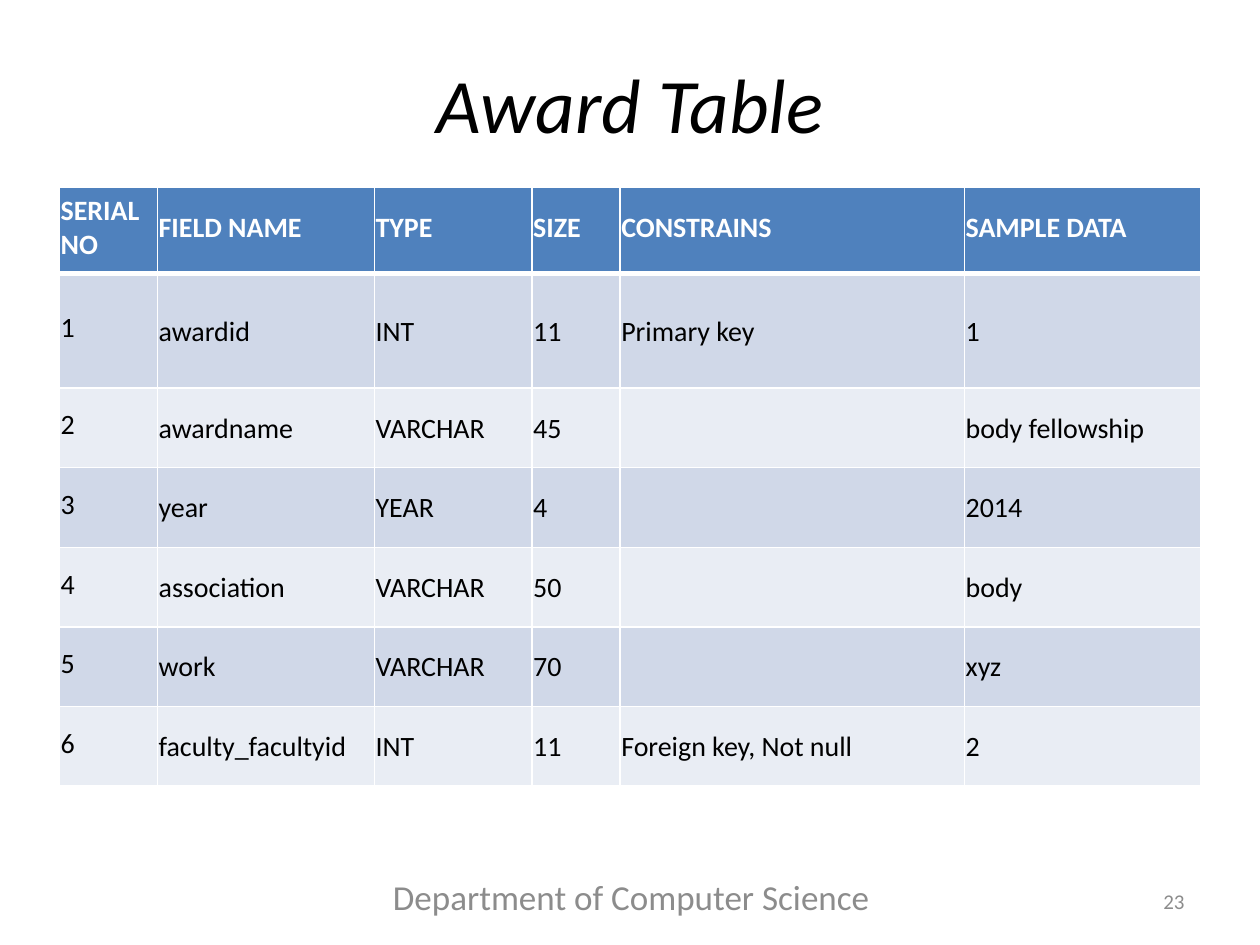
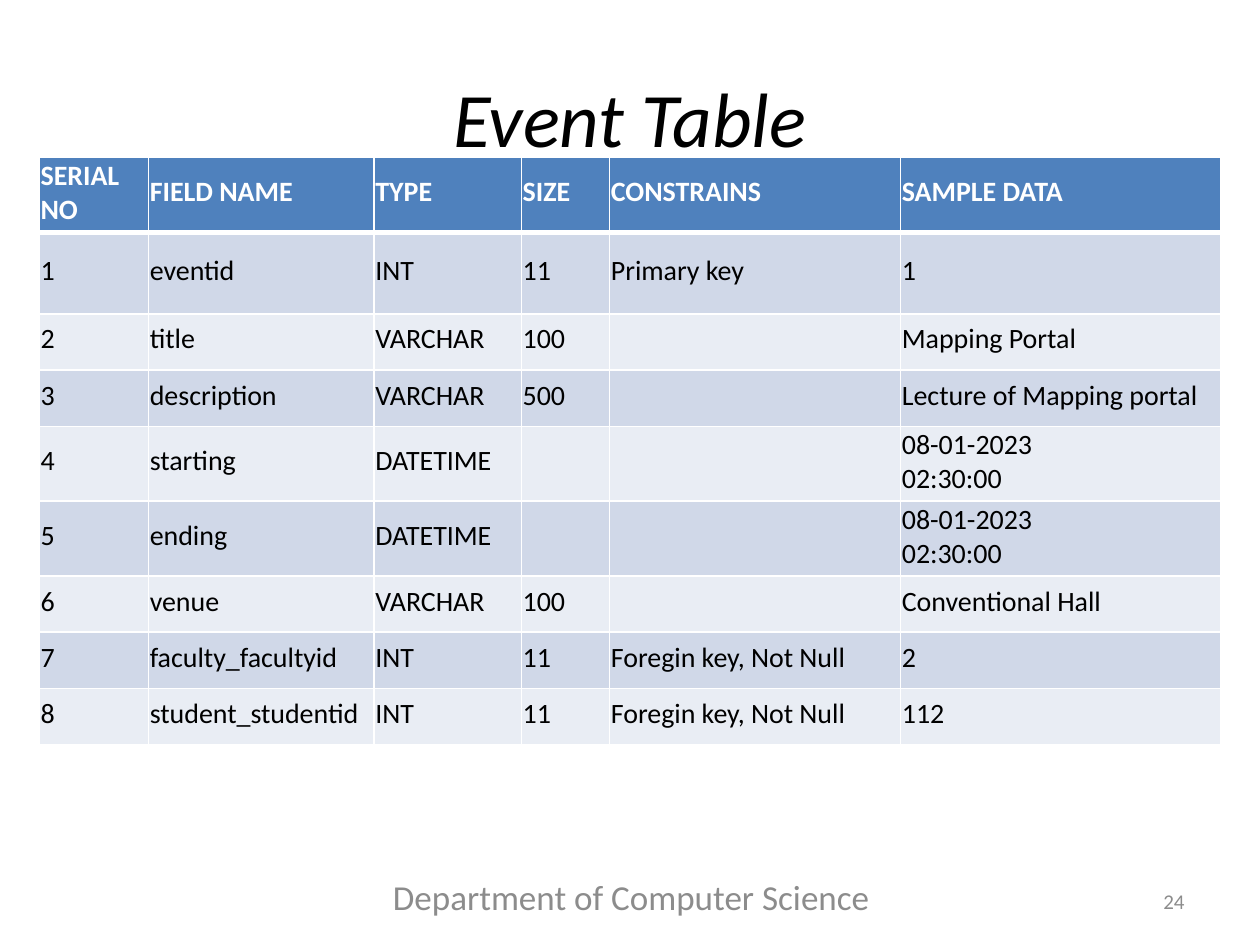
import pptx
import pptx.util
import pptx.dml.color
import pptx.enum.text
import pptx.oxml.ns
import lxml.etree

Pt = pptx.util.Pt
ALIGN = pptx.enum.text.PP_ALIGN
MIDDLE = pptx.enum.text.MSO_ANCHOR.MIDDLE

FONT = "Calibri"
BLACK, WHITE, GREY = "000000", "FFFFFF", "8C8C8C"
HEADER_FILL = "4F81BD"
BAND_FILLS = ("D0D8E8", "E9EDF4")
FOOTER = "Department of Computer Science "
HEADINGS = ("SERIAL NO", "FIELD NAME", "TYPE", "SIZE", "CONSTRAINS", "SAMPLE DATA")
THIN, THICK = 1, 3
SIDE_INSET, DEEP_INSET = 0.72, 3.6

SLIDES = [
    {
        "title": "Award Table",
        "number": 23,
        "title_height": 74,
        "table_at": (34, 106.8),
        "table_height": 343.4,
        "columns": (56, 124, 90, 50.4, 196.8, 135.2),
        "row_heights": {"header": 49.6, "first": 65.4, "other": 45.5},
        "body_inset": 0,
        "fields": [
            ("awardid", "INT", "11", "Primary key", "1"),
            ("awardname", "VARCHAR", "45", "", "body fellowship"),
            ("year", "YEAR", "4", "", "2014"),
            ("association", "VARCHAR", "50", "", "body"),
            ("work", "VARCHAR", "70", "", "xyz"),
            ("faculty_facultyid", "INT", "11", "Foreign key, Not null", "2"),
        ],
    },
    {
        "title": "Event Table",
        "number": 24,
        "title_height": 90,
        "table_at": (22.5, 90),
        "table_height": 401,
        "columns": (62.4, 128.9, 84.2, 50.4, 166.3, 182.9),
        "row_heights": {"header": 35.3, "first": 46.6, "other": 32.2},
        "body_inset": DEEP_INSET,
        "fields": [
            ("eventid", "INT", "11", "Primary key", "1"),
            ("title", "VARCHAR", "100", "", "Mapping Portal"),
            ("description", "VARCHAR", "500", "", "Lecture of Mapping portal"),
            ("starting", "DATETIME", "", "", "08-01-2023\n02:30:00"),
            ("ending", "DATETIME", "", "", "08-01-2023\n02:30:00"),
            ("venue", "VARCHAR", "100", "", "Conventional Hall"),
            ("faculty_facultyid", "INT", "11", "Foregin key, Not Null", "2"),
            ("student_studentid", "INT", "11", "Foregin key, Not Null", "112"),
        ],
    },
]


def color(value):
    return pptx.dml.color.RGBColor.from_string(value)


def write(frame, text, size, ink, align=ALIGN.LEFT, bold=False, italic=False):
    frame.text = text
    frame.word_wrap = True
    for para in frame.paragraphs:
        para.alignment = align
        for span in para.runs:
            span.font.name = FONT
            span.font.size = Pt(size)
            span.font.color.rgb = color(ink)
            span.font.bold = bold
            span.font.italic = italic


def add_text(page, bounds, text, size, ink, align, italic=False):
    box = page.shapes.add_textbox(*map(Pt, bounds))
    box.text_frame.vertical_anchor = MIDDLE
    write(box.text_frame, text, size, ink, align, italic=italic)


def add_borders(cell, top, bottom):
    properties = cell._tc.get_or_add_tcPr()
    for side, width in (("L", THIN), ("R", THIN), ("T", top), ("B", bottom)):
        line = lxml.etree.SubElement(
            properties, pptx.oxml.ns.qn(f"a:ln{side}"), w=str(Pt(width)))
        fill = lxml.etree.SubElement(line, pptx.oxml.ns.qn("a:solidFill"))
        lxml.etree.SubElement(fill, pptx.oxml.ns.qn("a:srgbClr"), val=WHITE)


def fill_cell(cell, text, row, deep):
    header = row == 0
    add_borders(cell, THICK if row == 1 else THIN, THICK if header else THIN)
    cell.fill.solid()
    cell.fill.fore_color.rgb = color(HEADER_FILL if header else BAND_FILLS[(row - 1) % 2])
    cell.vertical_anchor = MIDDLE
    cell.margin_left = cell.margin_right = cell.margin_top = Pt(SIDE_INSET)
    cell.margin_bottom = Pt(deep)
    write(cell.text_frame, text, 16, WHITE if header else BLACK, bold=header)


def add_field_table(page, content):
    rows = [HEADINGS]
    rows += [(str(serial), *field) for serial, field in enumerate(content["fields"], 1)]
    widths, heights = content["columns"], content["row_heights"]
    holder = page.shapes.add_table(
        len(rows), len(widths), *map(Pt, content["table_at"]),
        Pt(sum(widths)), Pt(content["table_height"]))
    table = holder.table
    table.horz_banding = False
    for column, width in zip(table.columns, widths):
        column.width = Pt(width)
    for row, texts in enumerate(rows):
        kind = ("header", "first")[row] if row < 2 else "other"
        table.rows[row].height = Pt(heights[kind])
        for column, text in enumerate(texts):
            deep = DEEP_INSET if row == 0 or column == 0 else content["body_inset"]
            fill_cell(table.cell(row, column), text, row, deep)
    holder.height = Pt(content["table_height"])


def build_page(deck, content):
    page = deck.slides.add_slide(deck.slide_layouts[6])
    add_text(page, (36, 21.6, 648, content["title_height"]), content["title"],
             44, BLACK, ALIGN.CENTER, italic=True)
    add_text(page, (204, 498, 318, 28.8), FOOTER, 20, GREY, ALIGN.CENTER)
    add_text(page, (516, 500.5, 168, 28.8), str(content["number"]), 12, GREY, ALIGN.RIGHT)
    add_field_table(page, content)


def main():
    deck = pptx.Presentation()
    deck.slide_width, deck.slide_height = Pt(720), Pt(540)
    for content in SLIDES:
        build_page(deck, content)
    deck.save("out.pptx")


if __name__ == "__main__":
    main()
